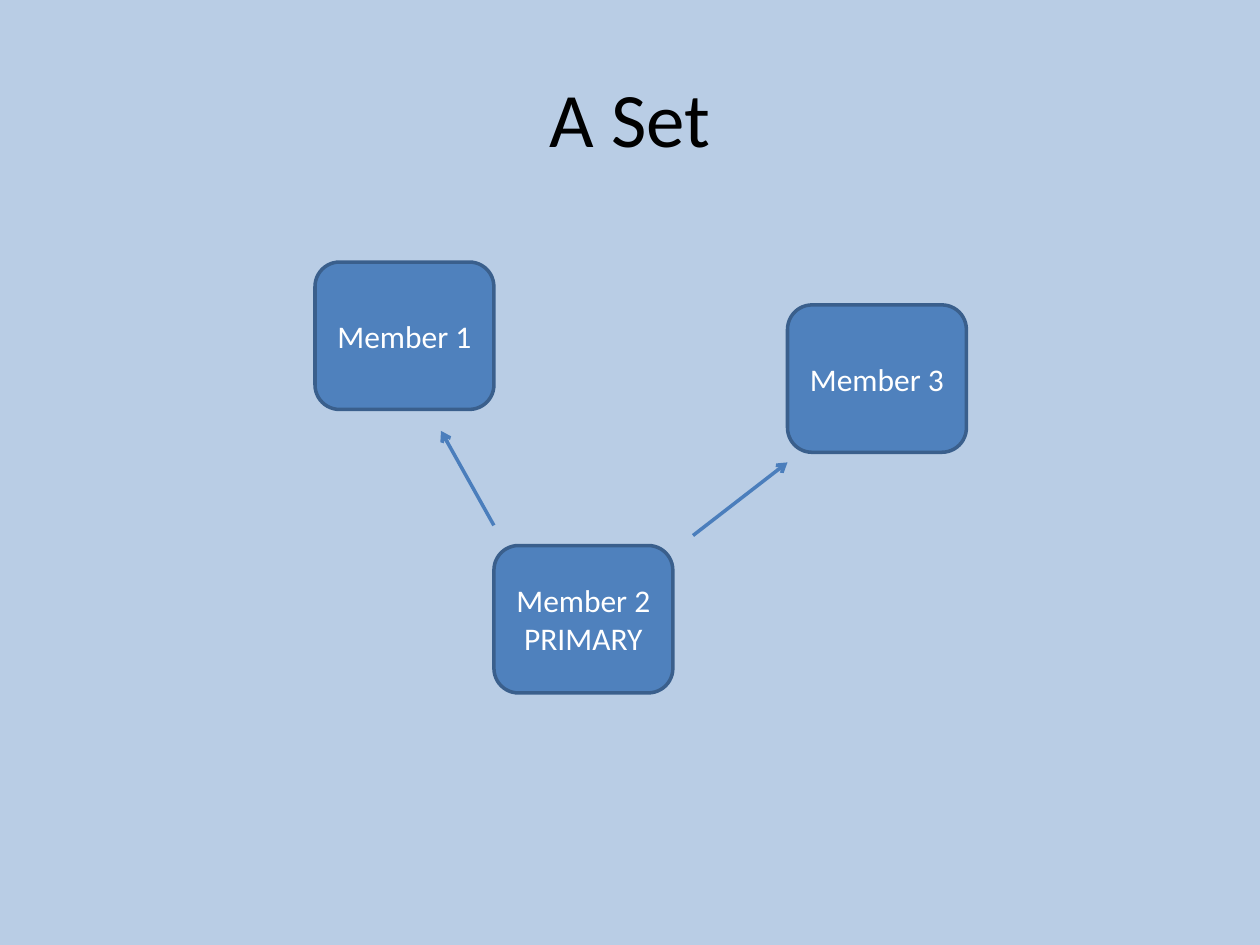
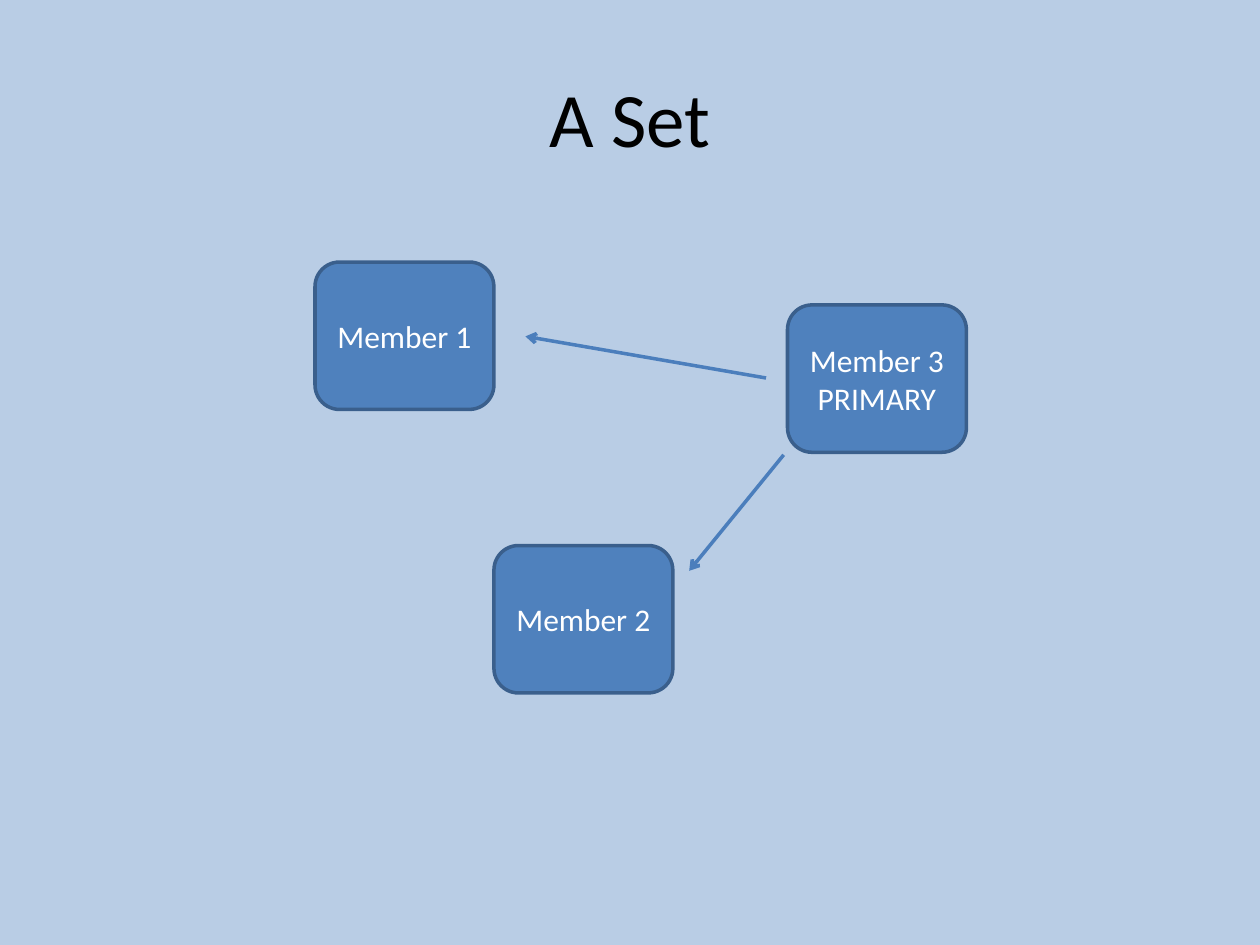
from pptx import Presentation
from pptx import util as u
from pptx.dml.color import RGBColor
from pptx.enum import shapes, text
from pptx.oxml.ns import qn
from lxml import etree


def rgb(value):
    return RGBColor.from_string(value)


class Deck:
    FONT = "Calibri"
    BACKGROUND, TITLE, LABEL = "B9CDE5", "000000", "FFFFFF"
    BOX, BORDER, ARROW = "4F81BD", "3A5F8C", "4B7EBC"
    LINE_WIDTH = 2
    BOX_WIDTH, BOX_HEIGHT = 1.42, 1.17

    def __init__(self):
        self.prs = Presentation()
        self.prs.slide_width = u.Inches(10)
        self.prs.slide_height = u.Inches(7.5)
        self.s = None

    def set_text(self, tf, lines, size, color):
        tf.word_wrap = True
        tf.vertical_anchor = text.MSO_ANCHOR.MIDDLE
        tf.text = "\n".join(lines)
        for p in tf.paragraphs:
            p.alignment = text.PP_ALIGN.CENTER
            p.font.name = self.FONT
            p.font.size = u.Pt(size)
            p.font.color.rgb = rgb(color)

    def slide(self, title):
        self.s = self.prs.slides.add_slide(self.prs.slide_layouts[5])
        fill = self.s.background.fill
        fill.solid()
        fill.fore_color.rgb = rgb(self.BACKGROUND)
        sp = self.s.shapes.title
        sp.left, sp.top = u.Inches(0.5), u.Inches(0.3)
        sp.width, sp.height = u.Inches(9), u.Inches(1.25)
        self.set_text(sp.text_frame, [title], 44, self.TITLE)

    def member(self, lines, left, top):
        sp = self.s.shapes.add_shape(
            shapes.MSO_SHAPE.ROUNDED_RECTANGLE, u.Inches(left), u.Inches(top),
            u.Inches(self.BOX_WIDTH), u.Inches(self.BOX_HEIGHT))
        sp.shadow.inherit = False
        sp.fill.solid()
        sp.fill.fore_color.rgb = rgb(self.BOX)
        sp.line.color.rgb = rgb(self.BORDER)
        sp.line.width = u.Pt(self.LINE_WIDTH)
        self.set_text(sp.text_frame, lines, 18, self.LABEL)

    def arrow(self, start, end):
        line = self.s.shapes.add_connector(
            shapes.MSO_CONNECTOR.STRAIGHT,
            *(u.Inches(value) for value in (*start, *end)))
        line.line.color.rgb = rgb(self.ARROW)
        line.line.width = u.Pt(self.LINE_WIDTH)
        properties = line._element.spPr
        etree.SubElement(properties.find(qn("a:ln")), qn("a:tailEnd"), type="arrow")
        etree.SubElement(properties, qn("a:effectLst"))


MEMBERS = {"Member 1": (2.5, 2.08), "Member 2": (3.92, 4.33), "Member 3": (6.25, 2.42)}
SETS = [
    ("Member 2", [((5.5, 4.25), (6.25, 3.67)), ((3.92, 4.17), (3.5, 3.42))]),
    ("Member 3", [((6.08, 3), (4.17, 2.67)), ((6.22, 3.61), (5.47, 4.53))]),
]

deck = Deck()
for primary, arrows in SETS:
    deck.slide("A Set")
    for name, (left, top) in MEMBERS.items():
        deck.member([name, "PRIMARY"] if name == primary else [name], left, top)
    for start, end in arrows:
        deck.arrow(start, end)

deck.prs.save("out.pptx")
